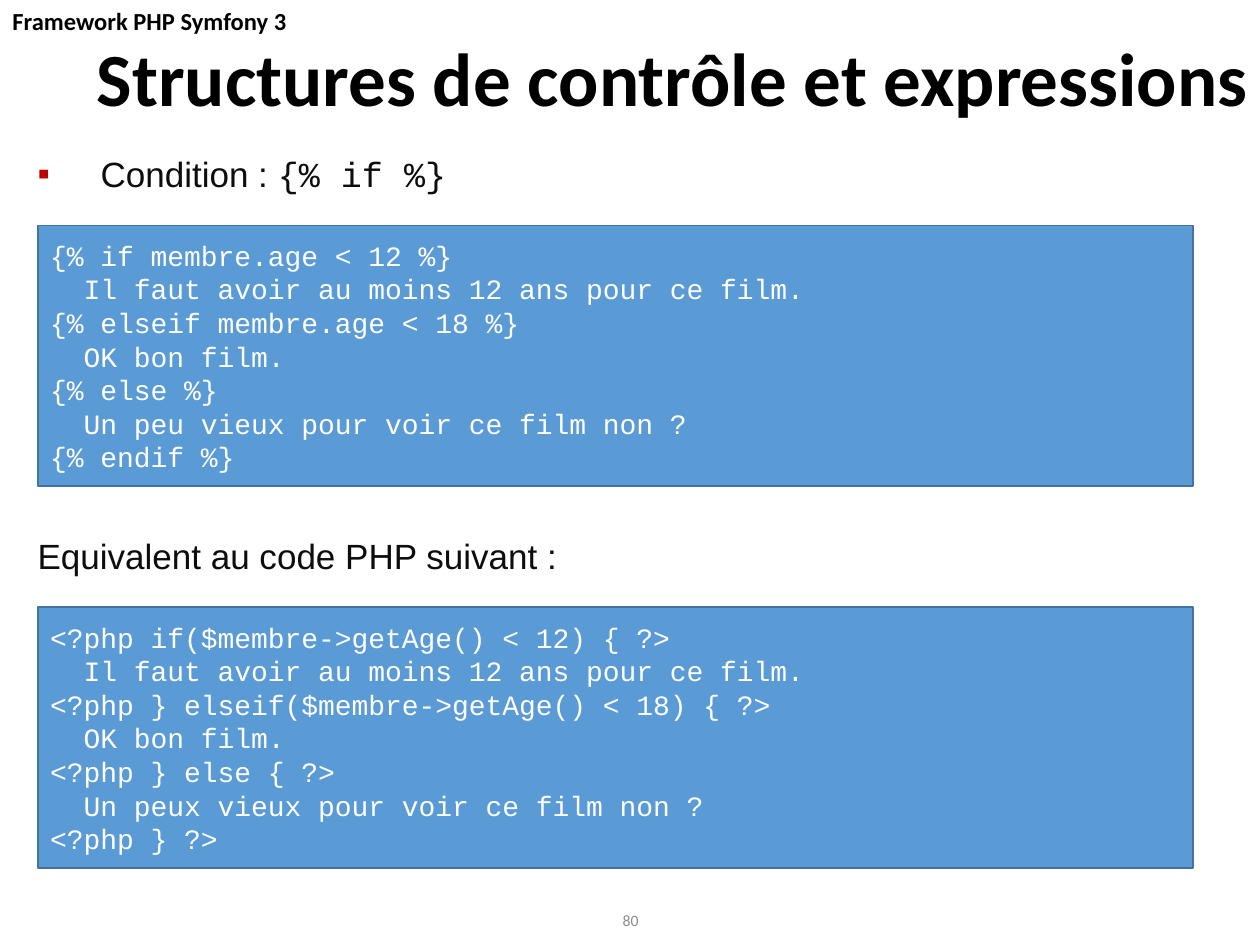
from pptx import Presentation, util as u
from pptx.dml.color import RGBColor
from pptx.enum import shapes, text
from pptx.oxml import parse_xml
from pptx.oxml.ns import nsdecls

SCALE = 9144
THEME = {
    "ink": "000000", "body": "0D0D0D", "mute": "8C8C8C", "mark": "C00000",
    "fill": "5B9BD5", "line": "43739E", "white": "FFFFFF",
    "head": "Calibri", "sans": "Arial", "mono": "Courier New",
    "brand": 14, "title": 42.9, "text": 20, "code": 16, "page": 9,
}
TWIG = """{% if membre.age < 12 %}
  Il faut avoir au moins 12 ans pour ce film.
{% elseif membre.age < 18 %}
  OK bon film.
{% else %}
  Un peu vieux pour voir ce film non ?
{% endif %}"""
PHP = """<?php if($membre->getAge() < 12) { ?>
  Il faut avoir au moins 12 ans pour ce film.
<?php } elseif($membre->getAge() < 18) { ?>
  OK bon film.
<?php } else { ?>
  Un peux vieux pour voir ce film non ?
<?php } ?>"""


def px(n):
    return u.Emu(n * SCALE)


def color(name):
    return RGBColor.from_string(THEME[name])


def apply(item, form):
    for key, val in form.items():
        setattr(item, key, val)


def write(para, words, face, size, ink, bold=False):
    run = para.add_run()
    run.text = words
    apply(run.font, {"name": THEME[face], "size": u.Pt(THEME[size]), "bold": bold})
    run.font.color.rgb = color(ink)


def label(slide, box, form=None):
    frame = slide.shapes.add_textbox(*map(px, box)).text_frame
    apply(frame, {"word_wrap": True, **(form or {})})
    return frame.paragraphs[0]


def header(slide, box):
    left, top, width, height = box
    para = label(slide, (left, top, width, 34))
    write(para, "Framework PHP Symfony 3", "head", "brand", "ink", True)
    para = label(slide, (left, top + 34, width, height - 34))
    apply(para, {"alignment": text.PP_ALIGN.RIGHT, "line_spacing": 0.8})
    write(para, "Structures de contrôle et expressions", "head", "title", "ink", True)


def bullet(para):
    props = para._p.get_or_add_pPr()
    apply_at = {"marL": px(70), "indent": px(-50)}
    for key, val in apply_at.items():
        props.set(key, str(val))
    for tag in (
        f'<a:buClr {nsdecls("a")}><a:srgbClr val="{THEME["mark"]}"/></a:buClr>',
        f'<a:buFont {nsdecls("a")} typeface="{THEME["sans"]}"/>',
        f'<a:buChar {nsdecls("a")} char="▪"/>',
    ):
        props.append(parse_xml(tag))


def panel(slide, box, code):
    shape = slide.shapes.add_shape(shapes.MSO_SHAPE.RECTANGLE, *map(px, box))
    shape.shadow.inherit = False
    shape.fill.solid()
    shape.fill.fore_color.rgb = color("fill")
    shape.line.color.rgb = color("line")
    shape.line.width = u.Pt(1)
    frame = shape.text_frame
    apply(frame, {"word_wrap": True, "vertical_anchor": text.MSO_ANCHOR.MIDDLE})
    for row, words in enumerate(code.splitlines()):
        para = frame.add_paragraph() if row else frame.paragraphs[0]
        para.alignment = text.PP_ALIGN.LEFT
        write(para, words, "mono", "code", "white")


def content(slide, box):
    left, top, width, _ = box
    para = label(slide, (left, top, width, 42))
    bullet(para)
    write(para, "Condition : ", "sans", "text", "body")
    write(para, "{% if %}", "mono", "text", "body")
    para = label(slide, (left + 20, top + 303, width - 20, 42))
    write(para, "Equivalent au code PHP suivant :", "sans", "text", "body")
    for row, code in enumerate((TWIG, PHP)):
        panel(slide, (left + 30, top + 63 + 303 * row, 917, 207), code)


def footer(slide, box):
    para = label(slide, box, {"vertical_anchor": text.MSO_ANCHOR.MIDDLE})
    para.alignment = text.PP_ALIGN.CENTER
    write(para, "80", "head", "page", "mute")


def main():
    deck = Presentation()
    apply(deck, {"slide_width": px(1000), "slide_height": px(750)})
    slide = deck.slides.add_slide(deck.slide_layouts[6])
    footer(slide, (388, 710, 225, 40))
    header(slide, (0, 0, 1000, 108))
    content(slide, (0, 116, 1000, 573))
    deck.save("out.pptx")


if __name__ == "__main__":
    main()
